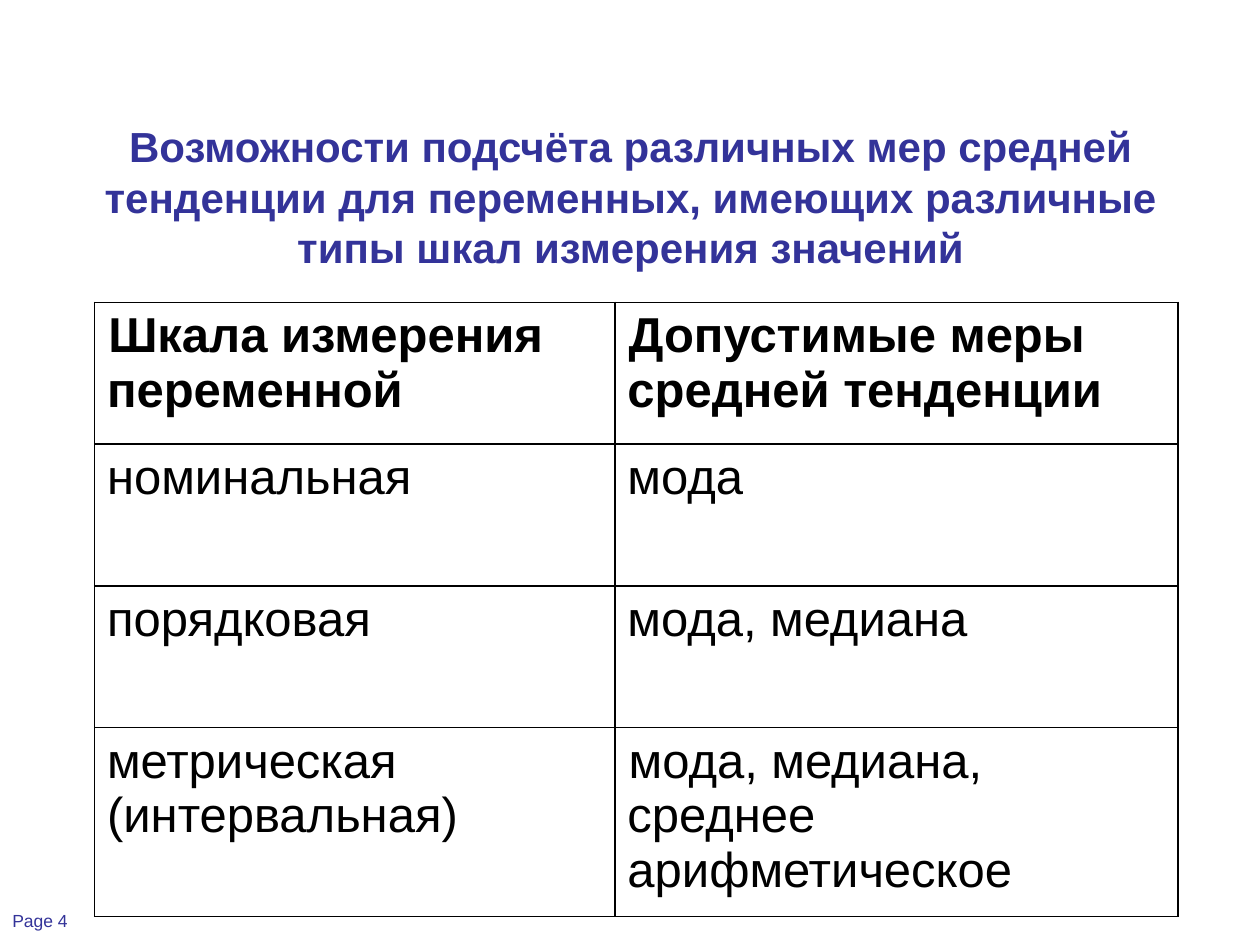
from dataclasses import dataclass

from lxml.etree import SubElement
from pptx import Presentation
from pptx.dml.color import RGBColor
from pptx.enum.text import MSO_ANCHOR, MSO_AUTO_SIZE, PP_ALIGN
from pptx.oxml.ns import qn
from pptx.util import Inches, Pt


@dataclass(frozen=True)
class Theme:
    font: str = "Arial"
    accent: RGBColor = RGBColor(0x33, 0x33, 0x99)
    ink: RGBColor = RGBColor(0, 0, 0)
    title: int = 24
    cell: int = 28
    footer: int = 10
    border: int = 1


THEME = Theme()
HEADER_INDENT = (0, 0.01)
HANGING_INDENT = (0.38, -0.38)
NO_INDENT = (0, 0)

# Each cell is its text and its (left margin, first line indent)
ROWS = [
    [("Шкала измерения переменной", HEADER_INDENT),
     ("Допустимые меры средней тенденции", HEADER_INDENT)],
    [("номинальная", HANGING_INDENT), ("мода", HANGING_INDENT)],
    [("порядковая", HANGING_INDENT), ("мода, медиана", HANGING_INDENT)],
    [("метрическая (интервальная)", NO_INDENT),
     ("мода, медиана, среднее арифметическое", HEADER_INDENT)],
]


def write(tf, text, size, color, bold=False):
    """Put one formatted run into the first paragraph and return the paragraph."""
    p = tf.paragraphs[0]
    r = p.add_run()
    r.text = text
    for name, value in {"name": THEME.font, "size": Pt(size), "bold": bold}.items():
        setattr(r.font, name, value)
    r.font.color.rgb = color
    return p


def add_title(s, left, top, width, height):
    sp = s.shapes.title
    box = {"left": left, "top": top, "width": width, "height": height}
    for name, value in box.items():
        setattr(sp, name, value)
    tf = sp.text_frame
    tf.word_wrap = True
    tf.auto_size = MSO_AUTO_SIZE.NONE
    tf.vertical_anchor = MSO_ANCHOR.MIDDLE
    p = write(tf, "Возможности подсчёта различных мер средней тенденции "
              "для переменных, имеющих различные типы шкал измерения значений",
              THEME.title, THEME.accent, bold=True)
    p.alignment = PP_ALIGN.CENTER


def set_borders(cell):
    tc_pr = cell._tc.get_or_add_tcPr()
    for i, side in enumerate(("lnL", "lnR", "lnT", "lnB")):
        ln = SubElement(tc_pr, qn(f"a:{side}"), w=str(Pt(THEME.border)))
        fill = SubElement(ln, qn("a:solidFill"))
        SubElement(fill, qn("a:srgbClr"), val=str(THEME.ink))
        tc_pr.insert(i, ln)


def add_scale_table(s, left, top, width, height):
    table = s.shapes.add_table(len(ROWS), 2, left, top, width, height).table
    table.first_row = table.horz_banding = False
    table.columns[0].width = Inches(4.13)
    table.columns[1].width = width - Inches(4.13)
    for i, row in enumerate(ROWS):
        for j, (text, (margin, indent)) in enumerate(row):
            cell = table.cell(i, j)
            cell.fill.background()
            set_borders(cell)
            p = write(cell.text_frame, text, THEME.cell, THEME.ink, bold=i == 0)
            p_pr = p._p.get_or_add_pPr()
            p_pr.set("marL", str(Inches(margin)))
            p_pr.set("indent", str(Inches(indent)))


def add_page_label(s, left, top, width, height):
    tf = s.shapes.add_textbox(left, top, width, height).text_frame
    tf.word_wrap = True
    write(tf, "Page 4", THEME.footer, THEME.accent)


def main():
    prs = Presentation()
    prs.slide_width, prs.slide_height = Inches(10), Inches(7.5)
    s = prs.slides.add_slide(prs.slide_layouts[5])
    add_page_label(s, Inches(0), Inches(7.17), Inches(1.17), Inches(0.33))
    add_title(s, Inches(0.42), Inches(1.1), Inches(9.17), Inches(0.92))
    add_scale_table(s, Inches(0.75), Inches(2.4), Inches(8.6), Inches(4.5))
    prs.save("out.pptx")


if __name__ == "__main__":
    main()
